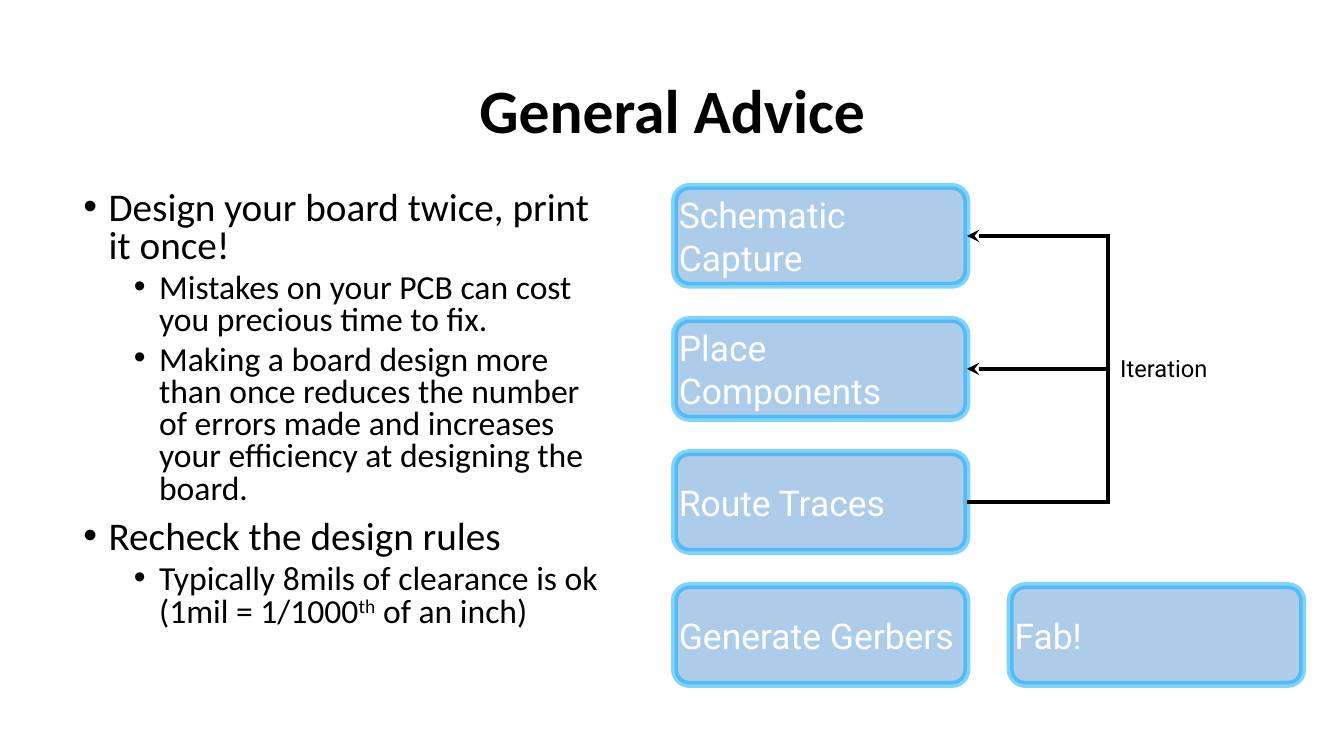
from dataclasses import dataclass

from pptx import Presentation
from pptx.dml.color import RGBColor
from pptx.enum.shapes import MSO_CONNECTOR, MSO_SHAPE
from pptx.enum.text import MSO_ANCHOR, PP_ALIGN
from pptx.oxml.ns import qn
from pptx.util import Inches, Pt
from lxml.etree import SubElement


@dataclass(frozen=True)
class Theme:
    ink: str = "000000"
    step_text: str = "FFFFFF"
    step_fill: str = "5B9BD5"
    step_edge: str = "00AAFD"
    text_font: str = "Calibri"
    diagram_font: str = "Roboto"
    title_size: float = 44
    point_size: float = 28
    detail_size: float = 24
    step_size: float = 25.3
    note_size: float = 16.9


def write(paragraph, text, size, color, font, bold=False, align=None,
          spacing=None, before=None, superscript=None):
    if align is not None:
        paragraph.alignment = align
    if spacing is not None:
        paragraph.line_spacing = spacing
    if before is not None:
        paragraph.space_before = Pt(before)
    pieces = text.partition(superscript) if superscript else (text,)
    for piece in pieces:
        run = paragraph.add_run()
        run.text = piece
        run.font.size = Pt(size)
        run.font.name = font
        run.font.bold = bold
        run.font.color.rgb = RGBColor.from_string(color)
        if piece == superscript:
            run._r.get_or_add_rPr().set("baseline", "30000")


def paint(fill, color, opacity=100):
    fill.solid()
    fill.fore_color.rgb = RGBColor.from_string(color)
    if opacity < 100:
        color_node = fill._xPr.find(qn("a:solidFill"))[0]
        SubElement(color_node, qn("a:alpha"), val=str(opacity * 1000))


def clear_insets(frame):
    frame.margin_left = frame.margin_right = 0
    frame.margin_top = frame.margin_bottom = 0
    frame.vertical_anchor = MSO_ANCHOR.MIDDLE


class SlideBuilder:
    def __init__(self, slide, theme):
        self.slide = slide
        self.theme = theme

    def title(self, text, left, top, width, height):
        heading = self.slide.shapes.title
        heading.left, heading.top = Inches(left), Inches(top)
        heading.width, heading.height = Inches(width), Inches(height)
        heading.text_frame.vertical_anchor = MSO_ANCHOR.MIDDLE
        write(heading.text_frame.paragraphs[0], text, self.theme.title_size,
              self.theme.ink, self.theme.text_font, bold=True,
              align=PP_ALIGN.CENTER, spacing=0.9)

    def textbox(self, left, top, width, height, wrap=True):
        frame = self.slide.shapes.add_textbox(
            Inches(left), Inches(top), Inches(width), Inches(height)).text_frame
        frame.word_wrap = wrap
        return frame

    def bullets(self, items, left, top, width, height):
        frame = self.textbox(left, top, width, height)
        for index, (level, text, superscript) in enumerate(items):
            paragraph = frame.add_paragraph() if index else frame.paragraphs[0]
            paragraph.level = level
            properties = paragraph._p.get_or_add_pPr()
            properties.set("marL", str(Inches(0.25 + 0.5 * level)))
            properties.set("indent", str(Inches(-0.25)))
            SubElement(properties, qn("a:buFont"), typeface="Arial")
            SubElement(properties, qn("a:buChar"), char="•")
            write(paragraph, text,
                  self.theme.detail_size if level else self.theme.point_size,
                  self.theme.ink, self.theme.text_font, spacing=0.8,
                  before=(5 if level else 10) if index else 0,
                  superscript=superscript)

    def step(self, text, left, top, width=2.9, height=0.98):
        box = self.slide.shapes.add_shape(
            MSO_SHAPE.ROUNDED_RECTANGLE,
            Inches(left), Inches(top), Inches(width), Inches(height))
        box.adjustments[0] = 0.15
        box.shadow.inherit = False
        paint(box.fill, self.theme.step_fill, 50)
        paint(box.line.fill, self.theme.step_edge, 50)
        box.line.width = Pt(5)
        box.text_frame.word_wrap = True
        clear_insets(box.text_frame)
        write(box.text_frame.paragraphs[0], text, self.theme.step_size,
              self.theme.step_text, self.theme.diagram_font,
              align=PP_ALIGN.LEFT)
        return box

    def line(self, start, end, source=None, arrow=False):
        link = self.slide.shapes.add_connector(
            MSO_CONNECTOR.STRAIGHT, *map(Inches, start + end))
        if source is not None:
            link.begin_connect(source, 3)
        paint(link.line.fill, self.theme.ink)
        link.line.width = Pt(3)
        if arrow:
            SubElement(link.line._get_or_add_ln(), qn("a:headEnd"),
                       type="stealth")
        SubElement(link._element.spPr, qn("a:effectLst"))

    def note(self, text, left, top, width, height):
        frame = self.textbox(left, top, width, height, wrap=False)
        clear_insets(frame)
        write(frame.paragraphs[0], text, self.theme.note_size,
              self.theme.ink, self.theme.diagram_font)


def main():
    deck = Presentation()
    deck.slide_width, deck.slide_height = Inches(13.33), Inches(7.5)
    builder = SlideBuilder(deck.slides.add_slide(deck.slide_layouts[5]), Theme())

    builder.title("General Advice", 0.92, 0.4, 11.5, 1.45)
    builder.bullets([
        (0, "Design your board twice, print it once!", None),
        (1, "Mistakes on your PCB can cost you precious time to fix.", None),
        (1, "Making a board design more than once reduces the number of errors "
            "made and increases your efficiency at designing the board.", None),
        (0, "Recheck the design rules", None),
        (1, "Typically 8mils of clearance is ok (1mil = 1/1000th of an inch)",
         "th"),
    ], 0.73, 1.85, 5.36, 4.87)

    step_left, first_top, pitch, half_height = 6.69, 1.85, 1.32, 0.49
    names = ["Schematic Capture", "Place Components", "Route Traces",
             "Generate Gerbers"]
    steps = [builder.step(name, step_left, first_top + pitch * row)
             for row, name in enumerate(names)]
    builder.step("Fab!", 10.02, first_top + pitch * 3)

    loop_x, loop_top, overlap = 10.99, first_top + half_height, 0.02
    for row, step in enumerate(steps[:3]):
        y = loop_top + pitch * row
        builder.line((9.59, y), (loop_x, y), source=step, arrow=row < 2)
    builder.line((loop_x, loop_top - overlap),
                 (loop_x, loop_top + pitch * 2 + overlap))
    builder.note("Iteration", 11.11, 3.51, 0.92, 0.28)

    deck.save("out.pptx")


if __name__ == "__main__":
    main()
